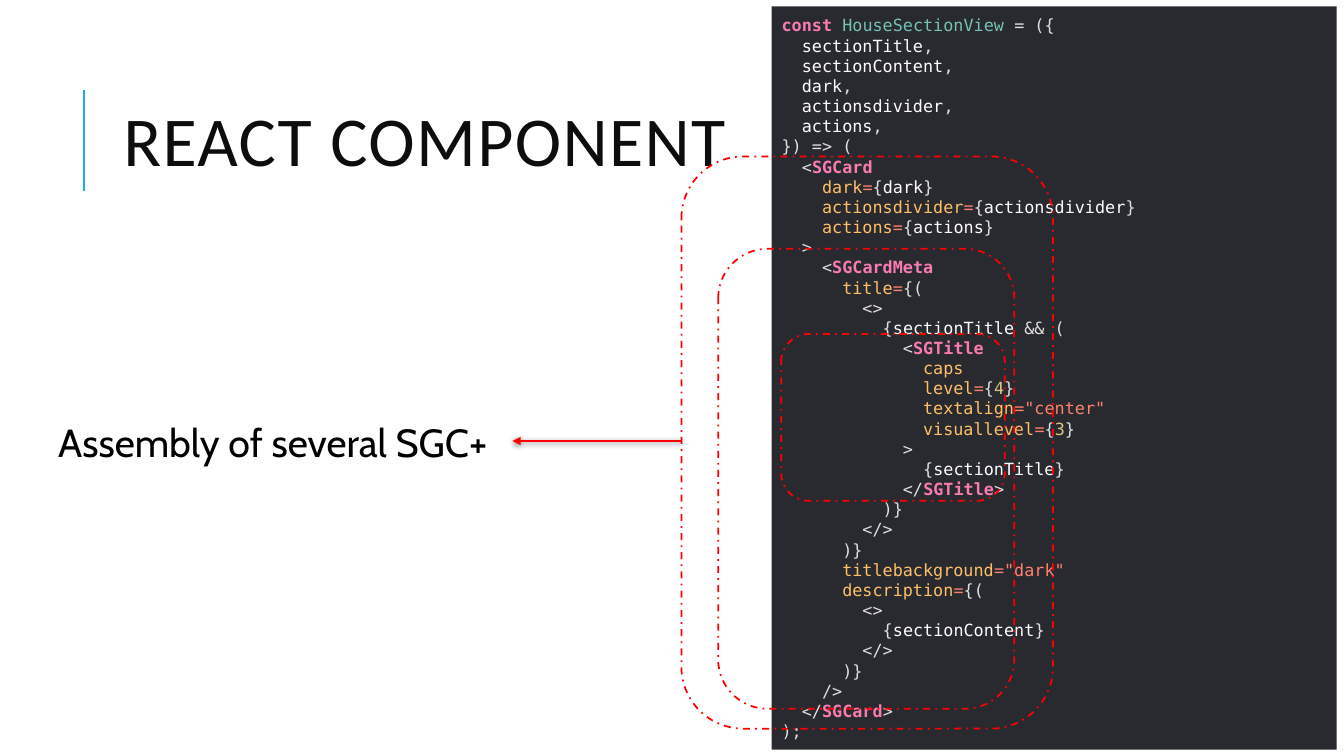
"""Builds the React component slide: title, code panel, nested frames and caption."""
from lxml import etree
from pptx import Presentation
from pptx.dml.color import RGBColor
from pptx.enum.dml import MSO_LINE
from pptx.enum.shapes import MSO_CONNECTOR, MSO_SHAPE
from pptx.enum.text import MSO_ANCHOR, PP_ALIGN
from pptx.oxml.ns import qn
from pptx.util import Pt

PX = 9525
RECT = MSO_SHAPE.RECTANGLE
ROUNDED = MSO_SHAPE.ROUNDED_RECTANGLE
STRAIGHT = MSO_CONNECTOR.STRAIGHT
DASH_DOT = MSO_LINE.DASH_DOT
MIDDLE, TOP = MSO_ANCHOR.MIDDLE, MSO_ANCHOR.TOP
LEFT = PP_ALIGN.LEFT

TITLE_FONT, CAPTION_FONT, CODE_FONT = "Calibri", "Cabin", "DejaVu Sans Mono"
CODE_SIZE = Pt(12)
BLACK = RGBColor(0x00, 0x00, 0x00)
INK = RGBColor(0x0D, 0x0D, 0x0D)
BLUE = RGBColor(0x1C, 0xAD, 0xE4)
RED = RGBColor(0xFF, 0x00, 0x00)
PANEL = RGBColor(0x29, 0x2A, 0x30)
KEYWORD = RGBColor(0xF9, 0x7B, 0xB0)
COMPONENT = RGBColor(0x75, 0xC2, 0xB3)
PUNCT = RGBColor(0xDF, 0xDF, 0xE0)
NAME = RGBColor(0xFC, 0xFC, 0xFC)
ATTR = RGBColor(0xFF, 0xBF, 0x67)
STRING = RGBColor(0xFF, 0x80, 0x6C)
NUMBER = RGBColor(0xD7, 0xC7, 0x81)

FRAMES = [(649, 149, 354, 545), (684, 237, 282, 438), (744, 318, 213, 159)]


def mark(text):
    """Return the runs of plain punctuation."""
    return [(PUNCT, text)]


def param(name):
    """Return the runs of one destructured parameter."""
    return [(NAME, name), (PUNCT, ",")]


def tag(start, name, end=""):
    """Return the runs of a component tag."""
    return [(PUNCT, start), (KEYWORD, name), (PUNCT, end)]


def braced(value):
    """Return the runs of a name in braces."""
    return [(PUNCT, "{"), (NAME, value), (PUNCT, "}")]


def attr(name, value):
    """Return the runs of an attribute followed by its value runs."""
    return [(ATTR, name), (STRING, "=")] + value


def level(name, digit):
    """Return the runs of an attribute with a numeric value."""
    return attr(name, [(PUNCT, "{"), (NUMBER, digit), (PUNCT, "}")])


CODE = [
    (0, [(KEYWORD, "const "), (COMPONENT, "HouseSectionView "), (PUNCT, "= ({")]),
    (1, param("sectionTitle")),
    (1, param("sectionContent")),
    (1, param("dark")),
    (1, param("actionsdivider")),
    (1, param("actions")),
    (0, mark("}) => (")),
    (1, tag("<", "SGCard")),
    (2, attr("dark", braced("dark"))),
    (2, attr("actionsdivider", braced("actionsdivider"))),
    (2, attr("actions", braced("actions"))),
    (1, mark(">")),
    (2, tag("<", "SGCardMeta")),
    (3, attr("title", mark("{("))),
    (4, mark("<>")),
    (5, [(PUNCT, "{"), (NAME, "sectionTitle "), (PUNCT, "&& (")]),
    (6, tag("<", "SGTitle")),
    (7, [(ATTR, "caps")]),
    (7, level("level", "4")),
    (7, attr("textalign", [(STRING, '"center"')])),
    (7, level("visuallevel", "3")),
    (6, mark(">")),
    (7, braced("sectionTitle")),
    (6, tag("</", "SGTitle", ">")),
    (5, mark(")}")),
    (4, mark("</>")),
    (3, mark(")}")),
    (3, attr("titlebackground", [(STRING, '"dark"')])),
    (3, attr("description", mark("{("))),
    (4, mark("<>")),
    (5, braced("sectionContent")),
    (4, mark("</>")),
    (3, mark(")}")),
    (2, mark("/>")),
    (1, tag("</", "SGCard", ">")),
    (0, mark(");")),
]


def scaled(box):
    """Turn px lengths into EMU."""
    return [v * PX for v in box]


def style_run(r, font, size, color, bold=False):
    """Set the font of a run."""
    r.font.name, r.font.size, r.font.bold = font, size, bold
    r.font.color.rgb = color


def add_text(s, box, text, font, size, color, anchor=TOP):
    """Add a one-line text box and return its paragraph."""
    tf = s.shapes.add_textbox(*scaled(box)).text_frame
    tf.word_wrap = True
    tf.vertical_anchor = anchor
    tf.text = text
    p = tf.paragraphs[0]
    style_run(p.runs[0], font, size, color)
    return p


def add_line(s, ends, color, width):
    """Add a straight line and return it with its empty effect list."""
    line = s.shapes.add_connector(STRAIGHT, *scaled(ends))
    line.line.color.rgb = color
    line.line.width = Pt(width)
    effects = etree.SubElement(line._element.spPr, qn("a:effectLst"))
    return line, effects


def add_arrow(s, ends):
    """Add the red arrow with its soft shadow."""
    arrow, effects = add_line(s, ends, RED, 1.5)
    etree.SubElement(arrow.line._get_or_add_ln(), qn("a:tailEnd"), type="triangle")
    shadow = etree.SubElement(effects, qn("a:outerShdw"), blurRad=str(Pt(4)),
                              dist=str(Pt(1)), dir="5400000", rotWithShape="0")
    color = etree.SubElement(shadow, qn("a:srgbClr"), val=str(BLACK))
    etree.SubElement(color, qn("a:alpha"), val="50000")


def add_frame(s, box):
    """Add an unfilled dashed frame with rounded corners."""
    sp = s.shapes.add_shape(ROUNDED, *scaled(box))
    sp.shadow.inherit = False
    sp.fill.background()
    sp.line.color.rgb = RED
    sp.line.width = Pt(1.25)
    sp.line.dash_style = DASH_DOT


def add_code(s, box, lines):
    """Add the dark panel holding the highlighted code."""
    sp = s.shapes.add_shape(RECT, *scaled(box))
    sp.shadow.inherit = False
    sp.fill.solid()
    sp.fill.fore_color.rgb = PANEL
    sp.line.fill.background()
    tf = sp.text_frame
    tf.word_wrap = True
    tf.vertical_anchor = MIDDLE
    p = tf.paragraphs[0]
    p.alignment = LEFT
    p.line_spacing = Pt(14.4)
    for i, (depth, runs) in enumerate(lines):
        if i:
            p.add_line_break()
        indent = "  " * depth
        for color, text in runs:
            if text:
                r = p.add_run()
                r.text = indent + text
                style_run(r, CODE_FONT, CODE_SIZE, color, color == KEYWORD)
                indent = ""
    for br in p._p.findall(qn("a:br")):
        etree.SubElement(br, qn("a:rPr"), sz=str(CODE_SIZE.centipoints))


def main():
    """Build and save the slide."""
    prs = Presentation()
    prs.slide_width, prs.slide_height = scaled((1280, 720))
    s = prs.slides.add_slide(prs.slide_layouts[6])
    add_line(s, (80, 182, 80, 86), BLUE, 1.5)
    title = add_text(s, (108, 61, 1020, 157), "REACT COMPONENT", TITLE_FONT, Pt(50), INK, MIDDLE)
    title.line_spacing = 0.8
    title.runs[0].font._element.set("spc", "100")
    add_code(s, (735, 6, 538, 708), CODE)
    for box in FRAMES:
        add_frame(s, box)
    add_text(s, (46, 394, 442, 55), "Assembly of several SGC+", CAPTION_FONT, Pt(28), BLACK)
    add_arrow(s, (649, 420, 488, 420))
    prs.save("out.pptx")


if __name__ == "__main__":
    main()
